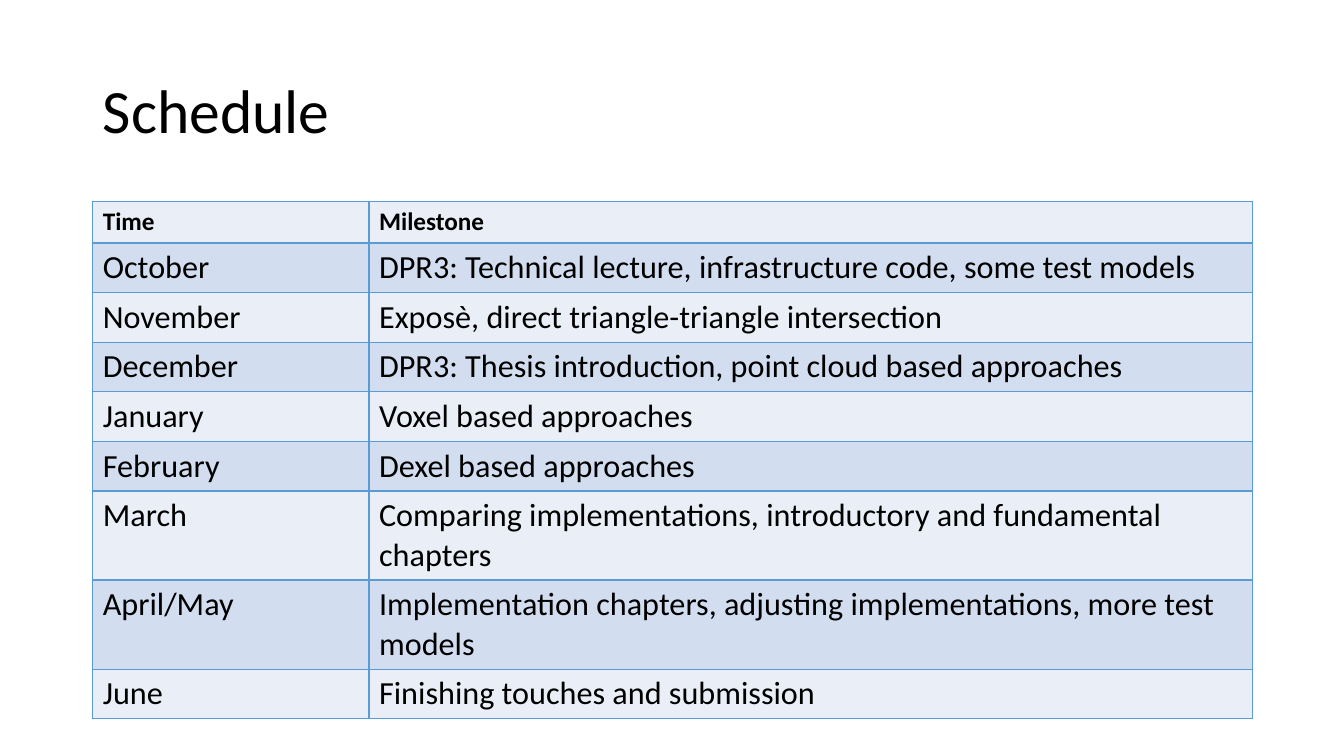
from lxml.etree import SubElement
from pptx import Presentation
from pptx.dml.color import RGBColor
from pptx.enum.text import MSO_ANCHOR, MSO_AUTO_SIZE, PP_ALIGN
from pptx.oxml.ns import qn
from pptx.util import Inches, Pt

COLORS = {
    "text": "000000",
    "border": "5B9BD5",
    "light": "EAEFF7",
    "dark": "D2DEEF",
}
FONT = "Calibri"
LEFT, WIDTH = Inches(0.92), Inches(11.5)
COLUMN_WIDTHS = (2.74, 8.76)
ROW_HEIGHT = Inches(0.41)

SCHEDULE = [
    ("Time", "Milestone"),
    ("October", "DPR3: Technical lecture, infrastructure code, some test models"),
    ("November", "Exposè, direct triangle-triangle intersection"),
    ("December", "DPR3: Thesis introduction, point cloud based approaches"),
    ("January", "Voxel based approaches"),
    ("February", "Dexel based approaches"),
    ("March", "Comparing implementations, introductory and fundamental chapters"),
    ("April/May", "Implementation chapters, adjusting implementations, more test models"),
    ("June", "Finishing touches and submission"),
]


def style_font(paragraph, size, bold=False):
    font = paragraph.font
    font.name = FONT
    font.size = Pt(size)
    font.bold = bold
    font.color.rgb = RGBColor.from_string(COLORS["text"])


def set_title(slide, text):
    title = slide.shapes.title
    title.left, title.top = LEFT, Inches(0.4)
    title.width, title.height = WIDTH, Inches(1.45)
    frame = title.text_frame
    frame.text = text
    frame.word_wrap = True
    frame.auto_size = MSO_AUTO_SIZE.NONE
    frame.vertical_anchor = MSO_ANCHOR.MIDDLE
    paragraph = frame.paragraphs[0]
    paragraph.alignment = PP_ALIGN.LEFT
    paragraph.line_spacing = 0.9
    style_font(paragraph, 44)


def add_borders(cell):
    properties = cell._tc.get_or_add_tcPr()
    for side in ("lnL", "lnR", "lnT", "lnB"):
        line = SubElement(properties, qn(f"a:{side}"), w=str(Pt(1)))
        fill = SubElement(line, qn("a:solidFill"))
        SubElement(fill, qn("a:srgbClr"), val=COLORS["border"])


def fill_cell(cell, text, row_index):
    is_header = row_index == 0
    add_borders(cell)
    cell.fill.solid()
    band = "dark" if row_index % 2 else "light"
    cell.fill.fore_color.rgb = RGBColor.from_string(COLORS[band])
    cell.text = text
    style_font(cell.text_frame.paragraphs[0], 18 if is_header else 23, is_header)


def add_schedule(slide):
    frame = slide.shapes.add_table(
        len(SCHEDULE), len(COLUMN_WIDTHS), LEFT, Inches(2), WIDTH, Inches(5.04)
    )
    table = frame.table
    for column, width in zip(table.columns, COLUMN_WIDTHS):
        column.width = Inches(width)
    for row_index, (row, texts) in enumerate(zip(table.rows, SCHEDULE)):
        row.height = ROW_HEIGHT
        for cell, text in zip(row.cells, texts):
            fill_cell(cell, text, row_index)
    frame.height = Inches(5.04)


def main():
    presentation = Presentation()
    presentation.slide_width = Inches(13.33)
    presentation.slide_height = Inches(7.5)
    slide = presentation.slides.add_slide(presentation.slide_layouts[5])
    set_title(slide, "Schedule")
    add_schedule(slide)
    presentation.save("out.pptx")


if __name__ == "__main__":
    main()
